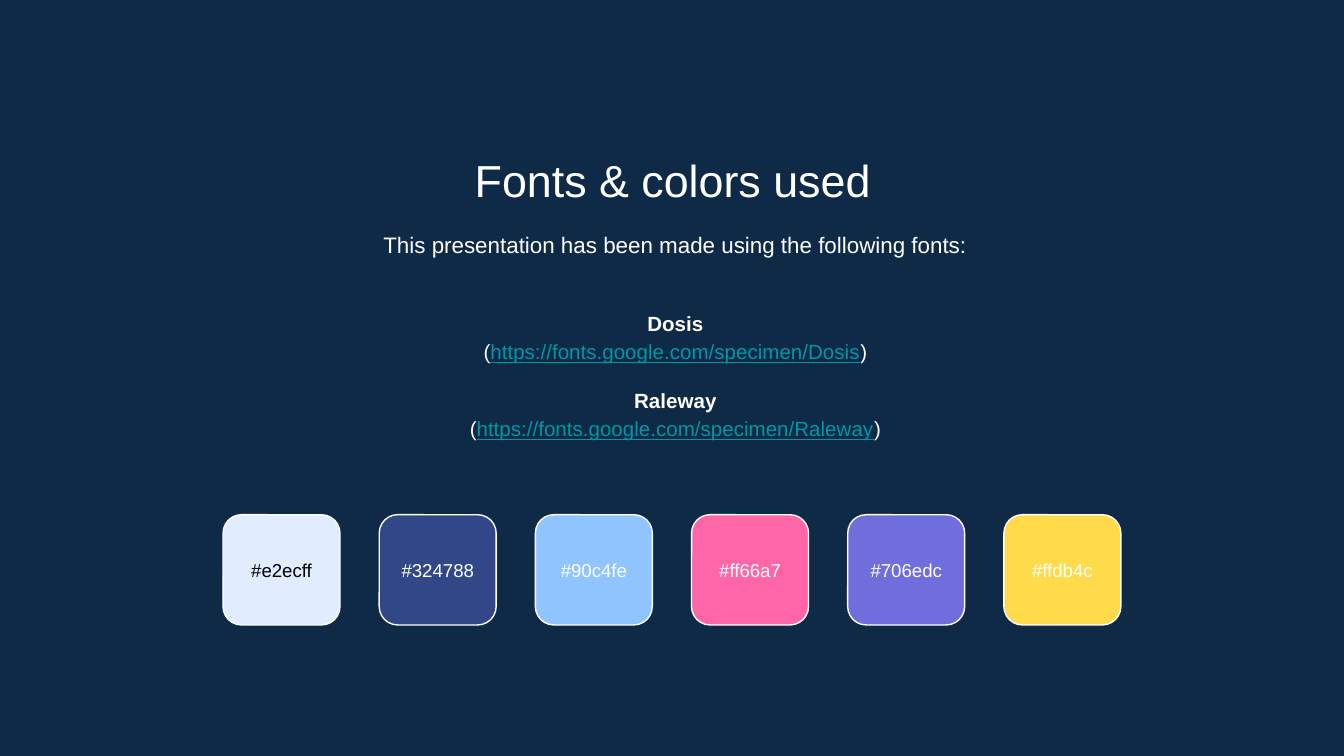
from pptx import Presentation
from pptx.dml.color import RGBColor
from pptx.enum.shapes import MSO_SHAPE
from pptx.enum.text import MSO_ANCHOR, PP_ALIGN
from pptx.util import Inches, Pt

ROUNDED = MSO_SHAPE.ROUNDED_RECTANGLE
CENTER = PP_ALIGN.CENTER
TOP, MIDDLE = MSO_ANCHOR.TOP, MSO_ANCHOR.MIDDLE

NAVY, WHITE, BLACK, TEAL = "0E2A47", "FFFFFF", "000000", "0097A7"


def rgb(value):
    return RGBColor.from_string(value.upper())


class SlideBuilder:
    font_name = "Arial"
    inset = Inches(0.1)

    def __init__(self, deck, background):
        self.page = deck.slides.add_slide(deck.slide_layouts[6])
        fill = self.page.background.fill
        fill.solid()
        fill.fore_color.rgb = rgb(background)

    def text_box(self, left, top, width, height, anchor=TOP):
        box = self.page.shapes.add_textbox(
            Inches(left), Inches(top), Inches(width), Inches(height))
        frame = box.text_frame
        frame.word_wrap = True
        frame.vertical_anchor = anchor
        frame.margin_left = frame.margin_right = self.inset
        frame.margin_top = frame.margin_bottom = self.inset
        return frame

    def style(self, para, size, color=WHITE, bold=False, spacing=None):
        para.alignment = CENTER
        para.line_spacing = spacing
        para.font.name = self.font_name
        para.font.size = Pt(size)
        para.font.bold = bold
        para.font.color.rgb = rgb(color)

    def line(self, left, top, width, height, text, size,
             color=WHITE, anchor=TOP, spacing=None):
        para = self.text_box(left, top, width, height, anchor).paragraphs[0]
        para.text = text
        self.style(para, size, color, spacing=spacing)

    def font_list(self, left, top, width, height, fonts):
        frame = self.text_box(left, top, width, height, MIDDLE)
        for index, (name, address) in enumerate(fonts):
            heading = frame.add_paragraph() if index else frame.paragraphs[0]
            heading.text = name
            self.style(heading, 11, bold=True, spacing=1.15)
            if index:
                heading.space_before = Pt(11)
            para = frame.add_paragraph()
            self.style(para, 11, spacing=1.15)
            for text in ("(", address, ")"):
                span = para.add_run()
                span.text = text
                if text == address:
                    span.font.underline = True
                    span.font.color.rgb = rgb(TEAL)

    def swatch(self, left, top, width, height, color):
        tile = self.page.shapes.add_shape(
            ROUNDED, Inches(left), Inches(top), Inches(width), Inches(height))
        tile.adjustments[0] = 0.167
        tile.shadow.inherit = False
        tile.fill.solid()
        tile.fill.fore_color.rgb = rgb(color)
        tile.line.color.rgb = rgb(WHITE)
        tile.line.width = Pt(0.75)


def main():
    # Widescreen page, 16:9
    deck = Presentation()
    deck.slide_width, deck.slide_height = Inches(10), Inches(10 * 9 / 16)
    slide = SlideBuilder(deck, NAVY)

    # Heading and introduction
    slide.line(1.15, 1.04, 7.71, 0.53, "Fonts & colors used", 24)
    slide.line(1.17, 1.59, 7.71, 0.48,
               "This presentation has been made using the following fonts:",
               12, spacing=1.15)

    # Fonts with their addresses
    slide.font_list(1.17, 2.1, 7.71, 1.37, [
        ("Dosis", "https://fonts.google.com/specimen/Dosis"),
        ("Raleway", "https://fonts.google.com/specimen/Raleway"),
    ])

    # Row of colour swatches, evenly spaced
    colors = ["e2ecff", "324788", "90c4fe", "ff66a7", "706edc", "ffdb4c"]
    first, last, width = 1.66, 7.47, 0.87
    pitch = (last - first) / (len(colors) - 1)
    for index, color in enumerate(colors):
        left = first + index * pitch
        slide.swatch(left, 3.83, width, 0.82, color)
        slide.line(left, 4, width, 0.48, f"#{color}", 10,
                   color=WHITE if index else BLACK, anchor=MIDDLE)

    deck.save("out.pptx")


if __name__ == "__main__":
    main()
